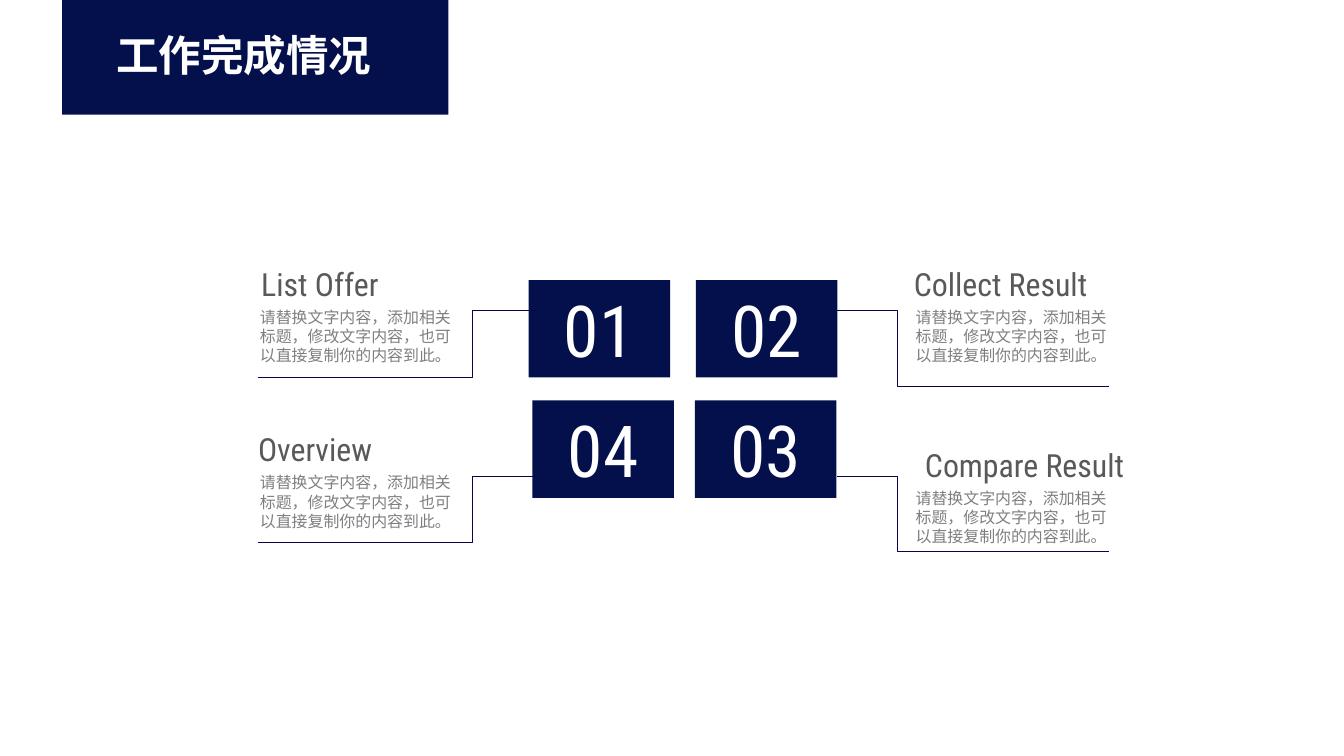
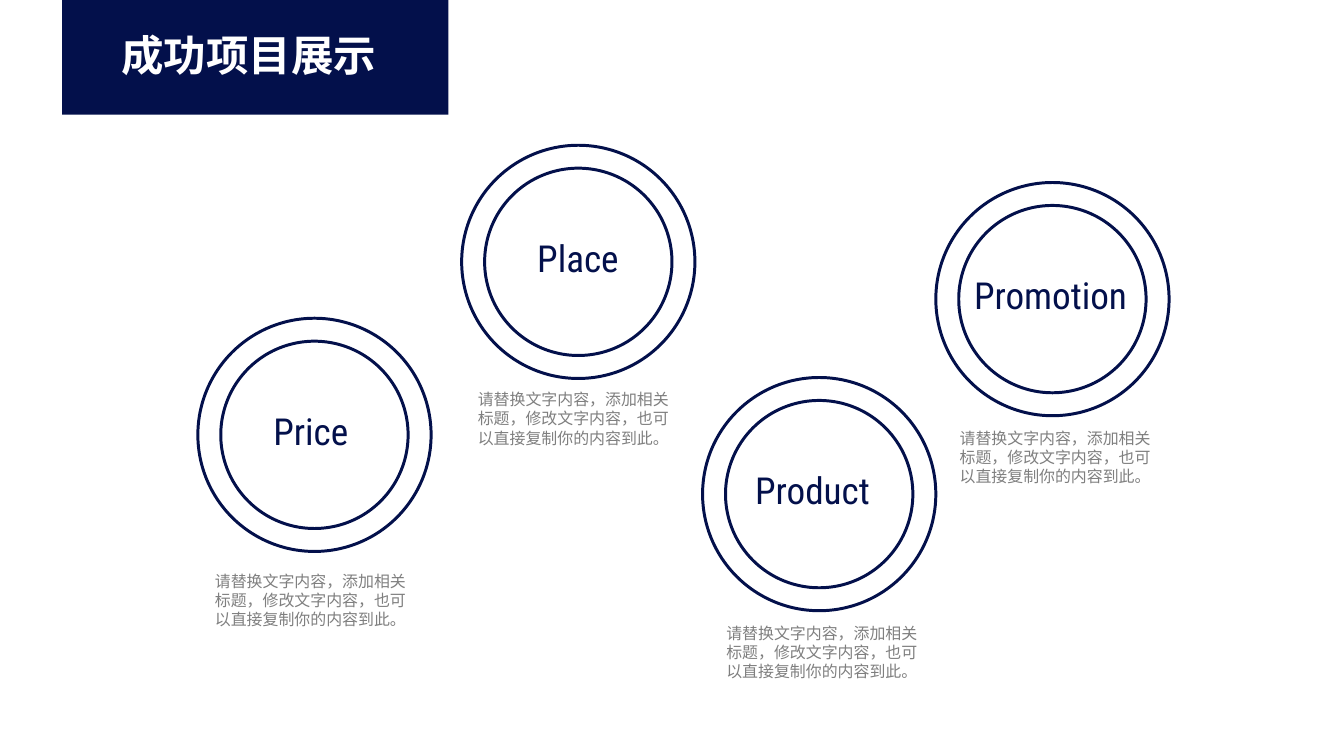
from lxml.etree import SubElement
from pptx import Presentation
from pptx.dml.color import RGBColor
from pptx.enum.shapes import MSO_CONNECTOR, MSO_SHAPE
from pptx.enum.text import MSO_ANCHOR, MSO_AUTO_SIZE, PP_ALIGN
from pptx.oxml.ns import qn
from pptx.util import Emu, Pt

PX = 9144
NAVY, LINE_NAVY, WHITE = "03104B", "06064C", "FFFFFF"
HEADING_GREY, BODY_GREY = "595959", "7F7F7F"
LATIN, CHINESE = "Roboto Condensed", "Noto Sans CJK SC"
BODY = "请替换文字内容，添加相关标题，修改文字内容，也可以直接复制你的内容到此。"

STYLES = {
    "title": (WHITE, {"size": Pt(32), "name": CHINESE, "bold": True}),
    "number": (WHITE, {"size": Pt(54), "name": LATIN}),
    "heading": (HEADING_GREY, {"size": Pt(24), "name": LATIN}),
    "ring": (NAVY, {"size": Pt(28), "name": LATIN}),
    "body": (BODY_GREY, {"size": Pt(12), "name": CHINESE}),
}
NO_INSETS = {"margin_left": 0, "margin_top": 0, "margin_right": 0, "margin_bottom": 0}

NUMBERS = [("01", 553, 293), ("02", 728, 293), ("03", 727, 419), ("04", 557, 419)]
LEFT_SIDE = {"body_left": 262, "line_start": 561, "line_end": 270, "drop": 70, "bend": 22800}
RIGHT_SIDE = {"body_left": 948, "line_start": 876, "line_end": 1160, "drop": 79, "bend": 22000}
CALLOUTS = [
    ("List Offer", LEFT_SIDE, 325, -8, -110, PP_ALIGN.RIGHT),
    ("Overview", LEFT_SIDE, 498, -8, 8, PP_ALIGN.LEFT),
    ("Compare Result", RIGHT_SIDE, 498, 8, -16, PP_ALIGN.RIGHT),
    ("Collect Result", RIGHT_SIDE, 325, -8, 8, PP_ALIGN.LEFT),
]
RINGS = [
    ("Price", 207, 333, 79, 8, 260),
    ("Place", 483, 152, 79, 7, 251),
    ("Product", 735, 395, 55, 15, 252),
    ("Promotion", 979, 191, 40, 15, 252),
]


def px(*lengths):
    return [Emu(length * PX) for length in lengths]


def color(hex_code):
    return RGBColor.from_string(hex_code)


def write(frame, text, style, align=PP_ALIGN.LEFT):
    paragraph = frame.paragraphs[0]
    paragraph.alignment = align
    run = paragraph.add_run()
    run.text = text
    hex_code, font_values = STYLES[style]
    run.font.color.rgb = color(hex_code)
    for attribute, value in font_values.items():
        setattr(run.font, attribute, value)
    east_asian = SubElement(run.font._element, qn("a:ea"))
    east_asian.set("typeface", font_values["name"])


def add_text(slide, box, text, style, align=PP_ALIGN.LEFT, wrap=True, insets=None):
    frame = slide.shapes.add_textbox(*px(*box)).text_frame
    frame.word_wrap = wrap
    frame.auto_size = MSO_AUTO_SIZE.SHAPE_TO_FIT_TEXT
    for attribute, value in (insets or {}).items():
        setattr(frame, attribute, value)
    write(frame, text, style, align)


def add_body(slide, left, top):
    add_text(slide, (left, top, 228, 71), BODY, "body")


def add_block(slide, box):
    block = slide.shapes.add_shape(MSO_SHAPE.RECTANGLE, *px(*box))
    block.shadow.inherit = False
    block.fill.solid()
    block.fill.fore_color.rgb = color(NAVY)
    block.line.fill.background()
    return block


def add_number(slide, number, left, top):
    frame = add_block(slide, (left, top, 148, 102)).text_frame
    frame.vertical_anchor = MSO_ANCHOR.MIDDLE
    write(frame, number, "number", PP_ALIGN.CENTER)


def add_callout(slide, heading, side, top, body_shift, heading_shift, align):
    body_left, body_top = side["body_left"], top + body_shift
    add_text(slide, (body_left + heading_shift, body_top - 40, 244, 40),
             heading, "heading", align, insets=NO_INSETS)
    add_body(slide, body_left, body_top)
    leader = slide.shapes.add_connector(
        MSO_CONNECTOR.ELBOW,
        *px(side["line_start"], top, side["line_end"], top + side["drop"]))
    leader.line.color.rgb = color(LINE_NAVY)
    leader.line.width = Pt(0.5)
    properties = leader._element.spPr
    SubElement(properties, qn("a:effectLst"))
    bend = SubElement(properties.find(".//" + qn("a:avLst")), qn("a:gd"))
    bend.set("name", "adj1")
    bend.set("fmla", f"val {side['bend']}")


def add_ring(slide, label, left, top, label_shift, body_shift, body_drop):
    add_text(slide, (left + label_shift, top + 94, 244, 47), label, "ring", insets=NO_INSETS)
    for inset in (0, 24):
        diameter = 244 - 2 * inset
        circle = slide.shapes.add_shape(
            MSO_SHAPE.FLOWCHART_CONNECTOR,
            *px(left + inset, top + inset, diameter, diameter))
        circle.shadow.inherit = False
        circle.fill.background()
        circle.line.color.rgb = color(NAVY)
        circle.line.width = Pt(2.25)
    add_body(slide, left + body_shift, top + body_drop)


def add_titled_slide(deck, title, title_left):
    slide = deck.slides.add_slide(deck.slide_layouts[6])
    add_block(slide, (65, 0, 404, 120))
    add_text(slide, (title_left, 25, 287, 63), title, "title", wrap=False)
    return slide


def build_completion(deck):
    slide = add_titled_slide(deck, "工作完成情况", 112)
    for number in NUMBERS:
        add_number(slide, *number)
    for callout in CALLOUTS:
        add_callout(slide, *callout)


def build_projects(deck):
    slide = add_titled_slide(deck, "成功项目展示", 117)
    for ring in RINGS:
        add_ring(slide, *ring)


def main():
    deck = Presentation()
    deck.slide_width, deck.slide_height = px(1406, 791)
    build_completion(deck)
    build_projects(deck)
    deck.save("out.pptx")


if __name__ == "__main__":
    main()
